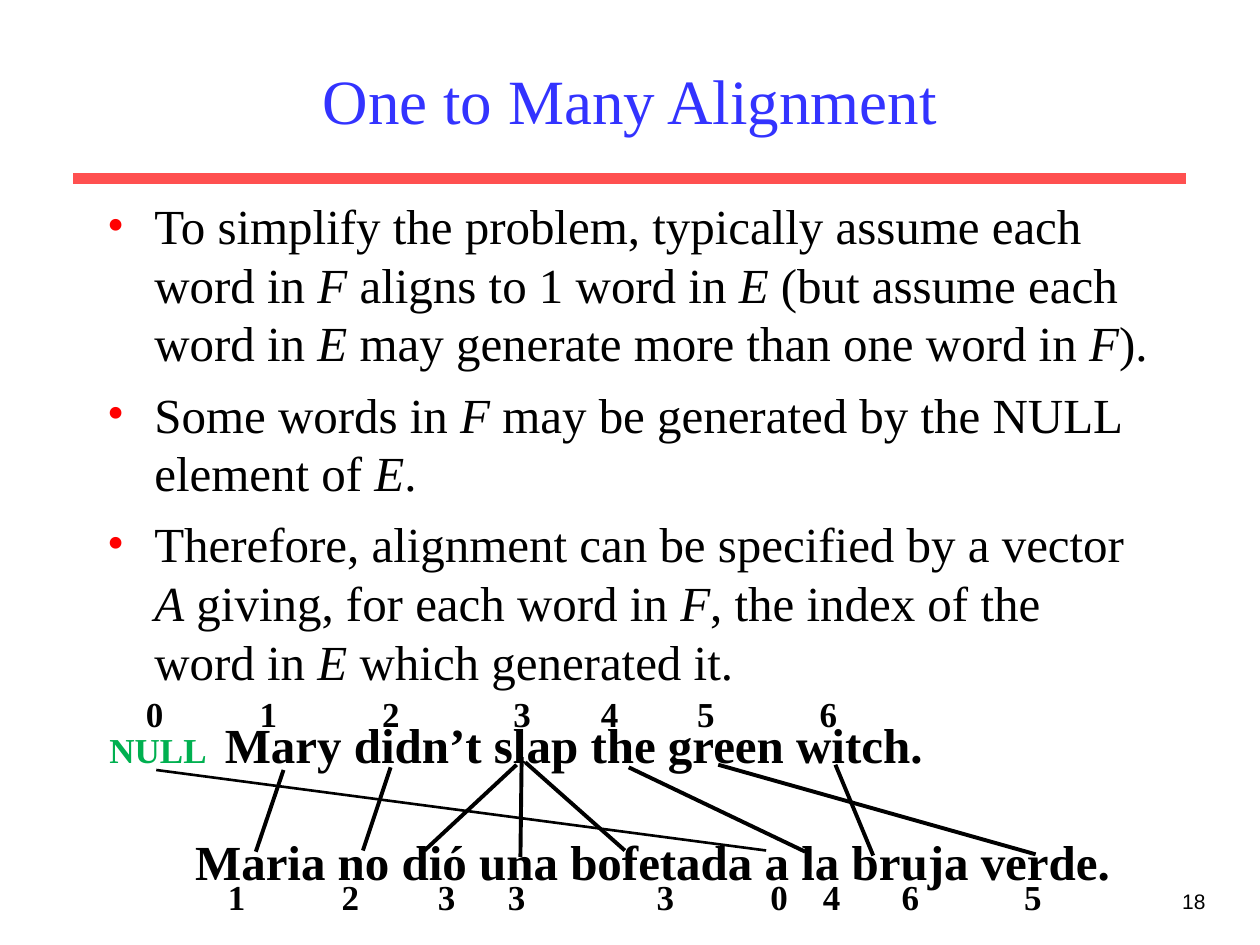
from itertools import accumulate

from pptx import Presentation
from pptx.dml.color import RGBColor
from pptx.enum.shapes import MSO_CONNECTOR
from pptx.enum.text import MSO_ANCHOR, MSO_AUTO_SIZE, PP_ALIGN
from pptx.oxml.ns import qn
from pptx.util import Pt

LINE = MSO_CONNECTOR.STRAIGHT
MIDDLE, TOP = MSO_ANCHOR.MIDDLE, MSO_ANCHOR.TOP
LEFT, CENTER, RIGHT = PP_ALIGN.LEFT, PP_ALIGN.CENTER, PP_ALIGN.RIGHT
FIXED = MSO_AUTO_SIZE.NONE

# Content: * switches italic on and off
HEAD = "One to Many Alignment"
POINTS = [
    "To simplify the problem, typically assume each word in *F* aligns to 1 "
    "word in *E* (but assume each word in *E* may generate more than one "
    "word in *F*).",
    "Some words in *F* may be generated by the NULL element of *E*.",
    "Therefore, alignment can be specified by a vector *A* giving, for each "
    "word in *F*, the index of the word in *E* which generated it.",
]
NULL = "NULL"
ENGLISH = "Mary didn’t slap the green witch."
SPANISH = "Maria no dió una bofetada a la bruja verde."
PAGE = "18"

# Index rows: digits, steps between them, box
ROWS = [
    ("0123456", (65, 70, 75, 50, 55, 70), (76.3, 392.4, 420, 32)),
    ("123330465", (65, 55, 40, 85, 65, 30, 45, 70), (123.1, 496.8, 490, 32)),
]

# Alignment links: x1, y1, x2, y2, width
LINKS = [
    (162, 440, 146.2, 486.7, 2.25),
    (223.2, 438.5, 207.4, 486, 2.25),
    (295.2, 437, 242.6, 486, 2.25),
    (298.1, 432.7, 297.4, 489.6, 2.25),
    (300.2, 435.6, 357.1, 486, 2.25),
    (359.3, 438.5, 460.1, 486.7, 2.25),
    (410.4, 437, 591.8, 488.2, 2.25),
    (477.4, 437, 499, 488.9, 2.25),
    (89.3, 440, 437.8, 486, 1.5),
]

BLACK = RGBColor(0, 0, 0)
SERIF = "Times New Roman"
THEME = {
    "head": {"name": SERIF, "size": Pt(36), "color": RGBColor(0x33, 0x33, 0xFF)},
    "body": {"name": SERIF, "size": Pt(28), "color": BLACK},
    "words": {"name": SERIF, "size": Pt(28), "color": BLACK, "bold": True},
    "null": {"name": SERIF, "size": Pt(20), "bold": True,
             "color": RGBColor(0x00, 0xB0, 0x50)},
    "index": {"name": SERIF, "size": Pt(20), "color": BLACK, "bold": True},
    "page": {"name": "Arial", "size": Pt(12), "color": BLACK},
    "rule": RGBColor(0xFF, 0x50, 0x50),
    "bullet": "FF0000",
}


def style(font, look):
    for key, value in look.items():
        if key == "color":
            font.color.rgb = value
        else:
            setattr(font, key, value)


def write(para, text, look):
    run = para.add_run()
    run.text = text
    style(run.font, look)
    return run


def place(shape, left, top, width, height):
    box = {"left": left, "top": top, "width": width, "height": height}
    for key, value in box.items():
        setattr(shape, key, Pt(value))


def setup(frame, anchor=TOP):
    form = {"word_wrap": True, "auto_size": FIXED, "vertical_anchor": anchor}
    for key, value in form.items():
        setattr(frame, key, value)
    return frame


def textbox(slide, box):
    return setup(slide.shapes.add_textbox(*map(Pt, box)).text_frame)


def indent(para, left, first=0):
    props = para._p.get_or_add_pPr()
    props.set("marL", str(Pt(left)))
    props.set("indent", str(Pt(first)))
    return props


def add(parent, tag, **attrs):
    node = parent.makeelement(qn(tag), attrs)
    parent.append(node)
    return node


def tabs(para, stops):
    group = add(para._p.get_or_add_pPr(), "a:tabLst")
    for stop in stops:
        add(group, "a:tab", pos=str(Pt(stop)), algn="l")


def bullet(para):
    props = indent(para, 27, -27)
    add(add(props, "a:buClr"), "a:srgbClr", val=THEME["bullet"])
    add(props, "a:buFont", typeface=SERIF)
    add(props, "a:buChar", char="•")


def link(slide, x1, y1, x2, y2, width, color=BLACK):
    line = slide.shapes.add_connector(LINE, Pt(x1), Pt(y1), Pt(x2), Pt(y2))
    line.line.color.rgb = color
    line.line.width = Pt(width)
    add(line._element.spPr, "a:effectLst")


def main():
    deck = Presentation()
    deck.slide_width, deck.slide_height = Pt(720), Pt(540)
    slide = deck.slides.add_slide(deck.slide_layouts[1])

    # Title and rule
    link(slide, 42, 102, 678, 102, 6, THEME["rule"])
    title = slide.shapes.title
    place(title, 54, 18, 612, 78)
    para = setup(title.text_frame, MIDDLE).paragraphs[0]
    para.alignment = CENTER
    write(para, HEAD, THEME["head"])

    # Bulleted points
    body = slide.placeholders[1]
    place(body, 54, 108, 612, 369)
    frame = setup(body.text_frame)
    for i, point in enumerate(POINTS):
        para = frame.add_paragraph() if i else frame.paragraphs[0]
        para.space_before = Pt(7 if i else 0)
        bullet(para)
        for j, part in enumerate(point.split("*")):
            write(para, part, THEME["body"]).font.italic = j % 2 == 1

    # Page number
    para = textbox(slide, (546, 504, 150, 36)).paragraphs[0]
    para.alignment = RIGHT
    write(para, PAGE, THEME["page"])

    # Sentence pair
    frame = textbox(slide, (55.4, 404.6, 610, 108))
    para = frame.paragraphs[0]
    tabs(para, [66])
    write(para, NULL + "\t", THEME["null"])
    write(para, ENGLISH, THEME["words"])
    para = frame.add_paragraph()
    para.space_before = Pt(33.5)
    indent(para, 49)
    write(para, SPANISH, THEME["words"])

    # Word links
    for ends in LINKS:
        link(slide, *ends)

    # Index rows
    for digits, steps, box in ROWS:
        para = textbox(slide, box).paragraphs[0]
        para.alignment = LEFT
        tabs(para, accumulate(steps))
        write(para, "\t".join(digits), THEME["index"])

    deck.save("out.pptx")


if __name__ == "__main__":
    main()
